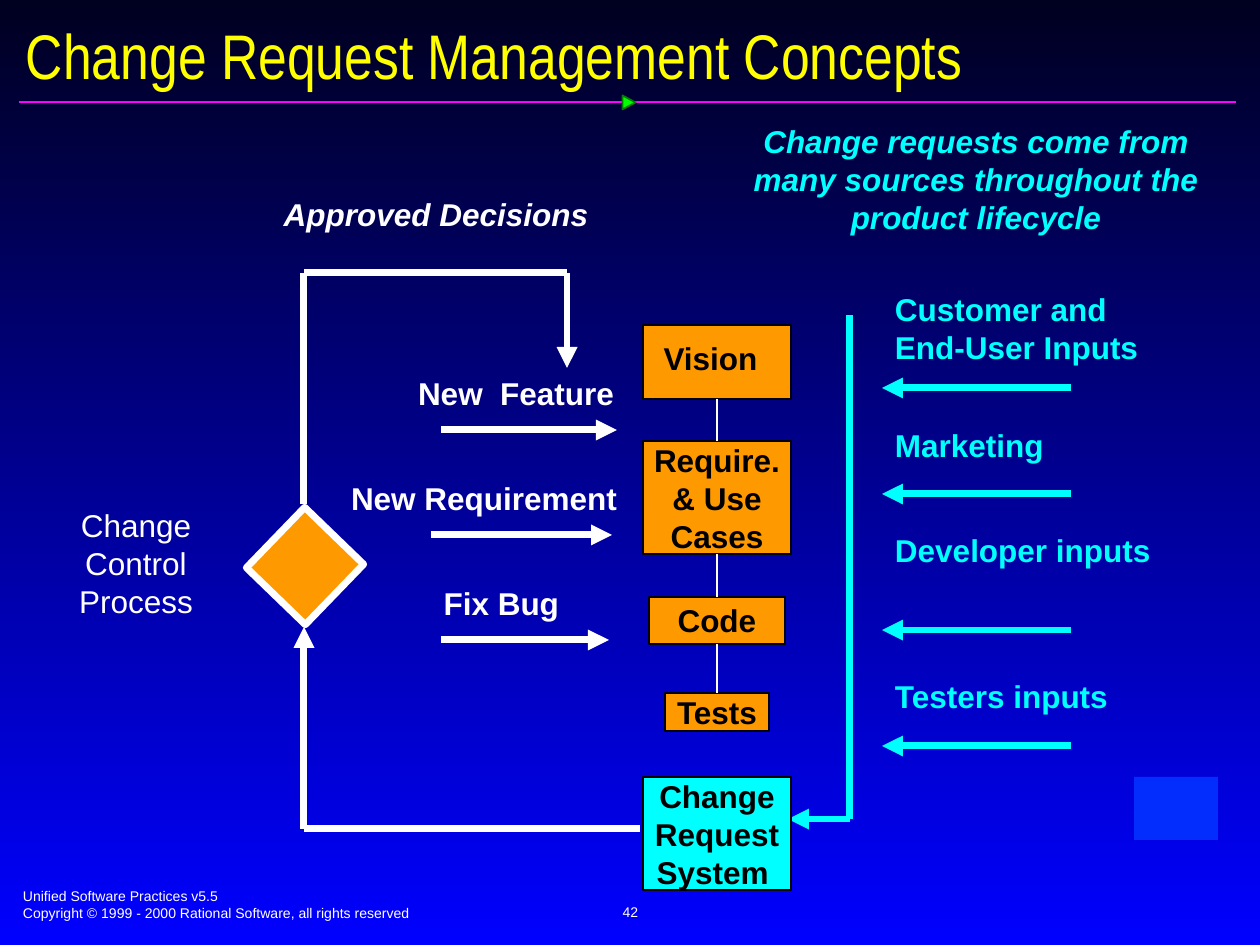
from lxml import etree
from pptx import Presentation, util as u
from pptx.dml.color import RGBColor
from pptx.enum import shapes, text
from pptx.oxml.ns import qn

PX = 914400 / 126
WHITE, CYAN, ORANGE, BLACK = "FFFFFF", "00FFFF", "FF9900", "000000"
LEFT, CENTER, RIGHT = text.PP_ALIGN.LEFT, text.PP_ALIGN.CENTER, text.PP_ALIGN.RIGHT
TOP, MIDDLE = text.MSO_ANCHOR.TOP, text.MSO_ANCHOR.MIDDLE
PAD = (13, 6, 13, 6)

# Content: artifact chain as (text, top, width, height, insets, anchor, line width)
CHAIN_X = 717
ARTIFACTS = [
    ("Vision", 325, 148, 74, (0, 14, 13, 0), TOP, 1.13),
    ("Require. & Use Cases", 441, 148, 113, (0, 0, 0, 0), TOP, 0.75),
    ("Code", 597, 136, 47, (13, 0, 13, 2), MIDDLE, 1),
    ("Tests", 693, 104, 38, (0, 0, 0, 0), TOP, 0.75),
]
CHANGE_SYSTEM = ("Change Request\nSystem ", 777, 148, 113, (0, 0, 0, 0), TOP, 0.75)

# Input sources: (text, label top, arrow y)
INPUTS = [
    ("Customer and\nEnd-User Inputs", 284, 388),
    ("Marketing", 420, 494),
    ("Developer inputs", 525, 630),
    ("Testers inputs", 671, 746),
]
# Approved work: (text, label right edge, arrow start, arrow end)
DECISIONS = [
    ("New  Feature", 627, 441, 617),
    ("New Requirement", 630, 431, 612),
    ("Fix Bug", 572, 441, 609),
]
# Flow lines: (colour, corner points), with the arrowhead at the last point
FLOWS = [
    (CYAN, [(850, 315), (850, 819), (788, 819)]),
    (WHITE, [(640, 829), (304, 829), (304, 627)]),
    (WHITE, [(304, 504), (304, 273), (567, 273), (567, 368)]),
]

prs = Presentation()
prs.slide_width, prs.slide_height = u.Inches(10), u.Inches(7.5)
slide = prs.slides.add_slide(prs.slide_layouts[6])


def px(*values):
    return [u.Emu(round(v * PX)) for v in values]


def color(hex_string):
    return RGBColor.from_string(hex_string)


def write(holder, words, size=18, font="Arial", fill=WHITE, bold=False, italic=False,
          align=LEFT, anchor=TOP, insets=PAD, wrap=True):
    frame = holder.text_frame
    frame.word_wrap, frame.vertical_anchor = wrap, anchor
    (frame.margin_left, frame.margin_top,
     frame.margin_right, frame.margin_bottom) = px(*insets)
    for i, line in enumerate(words.split("\n")):
        paragraph = frame.add_paragraph() if i else frame.paragraphs[0]
        paragraph.alignment = align
        run = paragraph.add_run()
        run.text = line
        run.font.size, run.font.name = u.Pt(size), font
        run.font.bold, run.font.italic = bold, italic
        run.font.color.rgb = color(fill)


def label(words, left, top, width, height, **style):
    write(slide.shapes.add_textbox(*px(left, top, width, height)), words, **style)


def block(kind, left, top, width, height, fill, line=None, weight=1, rotation=0):
    shape = slide.shapes.add_shape(kind, *px(left, top, width, height))
    shape.shadow.inherit = False
    shape.rotation = rotation
    shape.fill.solid()
    shape.fill.fore_color.rgb = color(fill)
    if line:
        shape.line.color.rgb = color(line)
        shape.line.width = u.Pt(weight)
    else:
        shape.line.fill.background()
    return shape


def connect(start, end, stroke, weight=4, arrow=False):
    line = slide.shapes.add_connector(shapes.MSO_CONNECTOR.STRAIGHT, *px(*start, *end))
    line.line.color.rgb = color(stroke)
    line.line.width = u.Pt(weight)
    if arrow:
        etree.SubElement(line.line._get_or_add_ln(), qn("a:tailEnd"), type="triangle")
    etree.SubElement(line._element.spPr, qn("a:effectLst"))
    return line


def artifact(words, top, width, height, insets, anchor, weight, fill=ORANGE):
    box = block(shapes.MSO_SHAPE.RECTANGLE, CHAIN_X - width / 2, top, width, height,
                fill, BLACK, weight)
    write(box, words, fill=BLACK, bold=True, align=CENTER, anchor=anchor, insets=insets)
    return box


# Background
backdrop = slide.background.fill
backdrop.gradient()
backdrop.gradient_angle = 270
for stop, position, shade in zip(backdrop.gradient_stops, (0, 1), ("000021", "0000FF")):
    stop.position, stop.color.rgb = position, color(shade)

# Title, rule and footer
label("Change Request Management Concepts", 13, 18, 1240, 73,
      size=36, font="Arial Narrow", fill="FFFF00", anchor=MIDDLE)
connect((19, 102), (1236, 102), "FF01FF", 1)
block(shapes.MSO_SHAPE.ISOSCELES_TRIANGLE, 622, 96, 14, 13, "00FF00", "037C03", 1, 90)
label("Unified Software Practices v5.5\n"
      "Copyright © 1999 - 2000 Rational Software, all rights reserved",
      10, 882, 643, 47, size=8)
label("42", 431, 880, 399, 63, size=8, align=CENTER, anchor=MIDDLE)
block(shapes.MSO_SHAPE.RECTANGLE, 1134, 777, 84, 63, "022DFC")

# Artifact chain
boxes = [artifact(*row) for row in ARTIFACTS]
for upper, lower in zip(boxes, boxes[1:]):
    link = connect((0, 0), (0, 0), WHITE, 1.13)
    link.begin_connect(upper, 2)
    link.end_connect(lower, 0)

# Flow lines, change system and control diamond
for stroke, points in FLOWS:
    for i, (start, end) in enumerate(zip(points, points[1:]), 2):
        connect(start, end, stroke, arrow=i == len(points))
artifact(*CHANGE_SYSTEM, fill=CYAN)
block(shapes.MSO_SHAPE.RECTANGLE, 264, 524, 82, 84, ORANGE, WHITE, 4, 44)
label("Change Control\nProcess", 13, 519, 246, 88, align=CENTER, anchor=MIDDLE, wrap=False)

# Approved decisions
label("Approved Decisions", 231, 189, 410, 50, bold=True, italic=True, align=CENTER)
for i, (words, right, start, end) in enumerate(DECISIONS):
    top = 368 + 105 * i
    label(words, right - 357, top, 357, 50, bold=True, align=RIGHT)
    connect((start, top + 62), (end, top + 62), WHITE, arrow=True)

# Input sources
label("Change requests come from many sources throughout the product lifecycle",
      724, 116, 504, 126, fill=CYAN, bold=True, italic=True, align=CENTER)
for words, top, arrow_y in INPUTS:
    label(words, 882, top, 294, 50 + 38 * words.count("\n"), fill=CYAN, bold=True)
    connect((1071, arrow_y), (882, arrow_y), CYAN, arrow=True)

prs.save("out.pptx")
